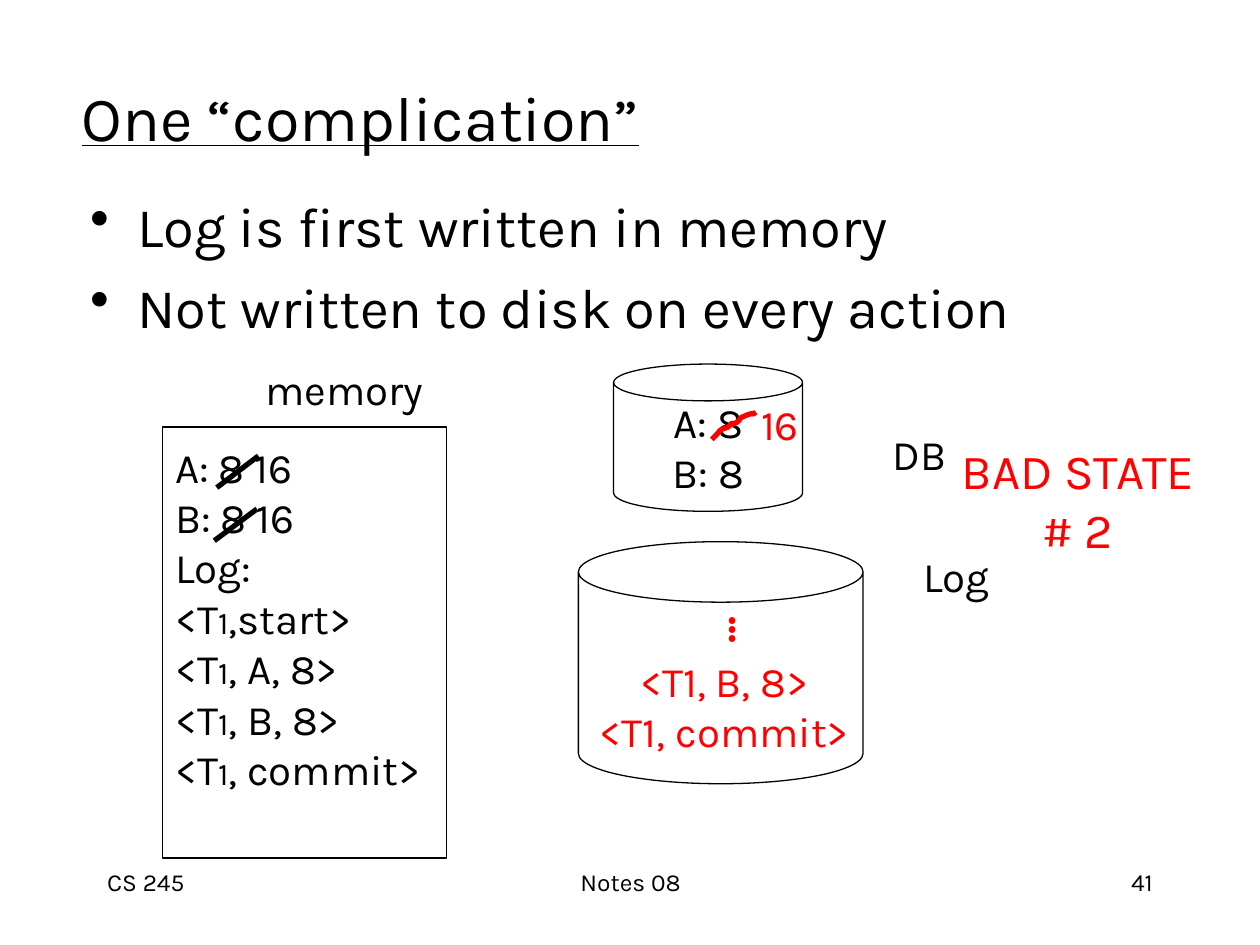
"""Build the slide 'One "complication"' about a log kept in memory and on disk."""
from pptx import Presentation
from pptx.util import Cm, Pt
from pptx.dml.color import RGBColor
from pptx.enum.shapes import MSO_CONNECTOR, MSO_SHAPE
from pptx.enum.text import MSO_ANCHOR, PP_ALIGN
from lxml.etree import SubElement
from pptx.oxml.ns import qn

FONT = "Karla"
BLACK = RGBColor(0, 0, 0)
WHITE = RGBColor(255, 255, 255)
RED = RGBColor(255, 0, 0)
LEFT, CENTER, RIGHT = PP_ALIGN.LEFT, PP_ALIGN.CENTER, PP_ALIGN.RIGHT
TOP, MIDDLE = MSO_ANCHOR.TOP, MSO_ANCHOR.MIDDLE

TITLE = "One “complication”"
BULLETS = ["Log is first written in memory", "Not written to disk on every action"]
MEMORY = ["A: 8 16", "B: 8 16", "Log:"]
LOG_RECORDS = [",start>", ", A, 8>", ", B, 8>", ", commit>"]
DB = ["A: 8", "B: 8"]

TEXTS = [
    (["CS 245"], (1.91, 17.35, 5.28, 1.27), 14, BLACK, LEFT, TOP),
    (["Notes 08"], (8.69, 17.35, 8.05, 1.27), 14, BLACK, CENTER, TOP),
    (["41"], (18.21, 17.35, 5.28, 1.27), 14, BLACK, RIGHT, TOP),
    (["memory"], (5.1, 7.21, 3.8, 1.27), 24, BLACK, LEFT, TOP),
    (["DB"], (17.75, 8.51, 1.8, 1.27), 24, BLACK, LEFT, TOP),
    (["Log"], (18.36, 10.97, 2.2, 1.27), 24, BLACK, LEFT, TOP),
    (["16"], (14.99, 7.9, 1.47, 1.27), 24, RED, CENTER, MIDDLE),
    (["BAD STATE", "# 2"], (18.95, 8.74, 5.56, 2.64), 28, RED, CENTER, MIDDLE),
    (["<T1, B, 8>", "<T1, commit>"], (11.66, 13.08, 5.89, 2.29), 24, RED, CENTER, MIDDLE),
]
STRIKES = [(5.21, 9.19, 4.37, 9.83), (5.18, 10.26, 4.32, 10.9)]
SCRIBBLE_START = (14.35, 8.86)
SCRIBBLE = [
    ((14.58, 8.64), (14.45, 8.69), (14.68, 8.61)),
    ((14.86, 8.43), (14.63, 8.64), (14.86, 8.51)),
    ((14.91, 8.48), (14.91, 8.43), (14.96, 8.41)),
    ((15.29, 8.26), (15.11, 8.41), (15.24, 8.31)),
]


def style(run, size, color=BLACK):
    run.font.name, run.font.size = FONT, Pt(size)
    run.font.color.rgb = color


def write(s, lines, size, color=BLACK, align=LEFT, anchor=TOP):
    tf = s.text_frame
    tf.word_wrap, tf.vertical_anchor = True, anchor
    tf.text = "\n".join(lines)
    for p in tf.paragraphs:
        p.alignment = align
        for r in p.runs:
            style(r, size, color)
    return tf


def add_text(lines, box, *look):
    s = sp.add_textbox(*map(Cm, box))
    write(s, lines, *look)
    return s


def add_box(kind, box):
    s = sp.add_shape(kind, *map(Cm, box))
    s.shadow.inherit = False
    s.fill.solid()
    s.fill.fore_color.rgb = WHITE
    s.line.color.rgb, s.line.width = BLACK, Pt(0.74)
    return s


def bezier(p0, p1, p2, p3, steps=8):
    for i in range(1, steps + 1):
        t = i / steps
        weights = (1 - t) ** 3, 3 * t * (1 - t) ** 2, 3 * t * t * (1 - t), t ** 3
        yield tuple(sum(w * q[k] for w, q in zip(weights, (p0, p1, p2, p3))) for k in (0, 1))


prs = Presentation()
prs.slide_width, prs.slide_height = Cm(25.4), Cm(19.05)
slide = prs.slides.add_slide(prs.slide_layouts[6])
sp = slide.shapes

title = add_text([TITLE], (1.4, 0.76, 21.59, 3.18), 36, BLACK, LEFT, MIDDLE)
title.text_frame.paragraphs[0].runs[0].font.underline = True

body = add_text(BULLETS, (1.57, 3.73, 21.59, 3.5), 32)
for p in body.text_frame.paragraphs:
    p.space_before = Pt(8)
    pPr = p._p.get_or_add_pPr()
    pPr.set("marL", str(Cm(0.95)))
    pPr.set("indent", str(-Cm(0.95)))
    SubElement(pPr, qn("a:buChar")).set("char", "•")

memory = add_box(MSO_SHAPE.RECTANGLE, (3.28, 8.61, 5.72, 8.69))
tf = write(memory, MEMORY, 24, BLACK, LEFT, MIDDLE)
tf.margin_bottom = Cm(1.14)
for record in LOG_RECORDS:
    p = tf.add_paragraph()
    p.alignment = LEFT
    for text, size in (("<T", 24), ("1", 18), (record, 24)):
        r = p.add_run()
        r.text = text
        style(r, size)

for x1, y1, x2, y2 in STRIKES:
    strike = sp.add_connector(MSO_CONNECTOR.STRAIGHT, Cm(x1), Cm(y1), Cm(x2), Cm(y2))
    strike.line.color.rgb, strike.line.width = BLACK, Pt(3)
    SubElement(strike._element.spPr, qn("a:effectLst"))

db_disk = add_box(MSO_SHAPE.CAN, (12.37, 7.34, 3.81, 2.97))
write(db_disk, DB, 24, BLACK, CENTER, MIDDLE)
log_disk = add_box(MSO_SHAPE.CAN, (11.66, 10.92, 5.74, 4.88))

points, start = [], SCRIBBLE_START
for c1, c2, end in SCRIBBLE:
    points += bezier(start, c1, c2, end)
    start = end
pen = sp.build_freeform(*map(Cm, SCRIBBLE_START))
pen.add_line_segments([(Cm(x), Cm(y)) for x, y in points], close=False)
scribble = pen.convert_to_shape()
scribble.shadow.inherit = False
scribble.fill.background()
scribble.line.color.rgb, scribble.line.width = RED, Pt(3)

for text in TEXTS:
    add_text(*text)

dots = add_text(["..."], (13.48, 12.06, 2, 1.27), 24, RED, CENTER, MIDDLE)
dots.rotation = 270
dots.text_frame.paragraphs[0].runs[0].font.bold = True

prs.save("out.pptx")
